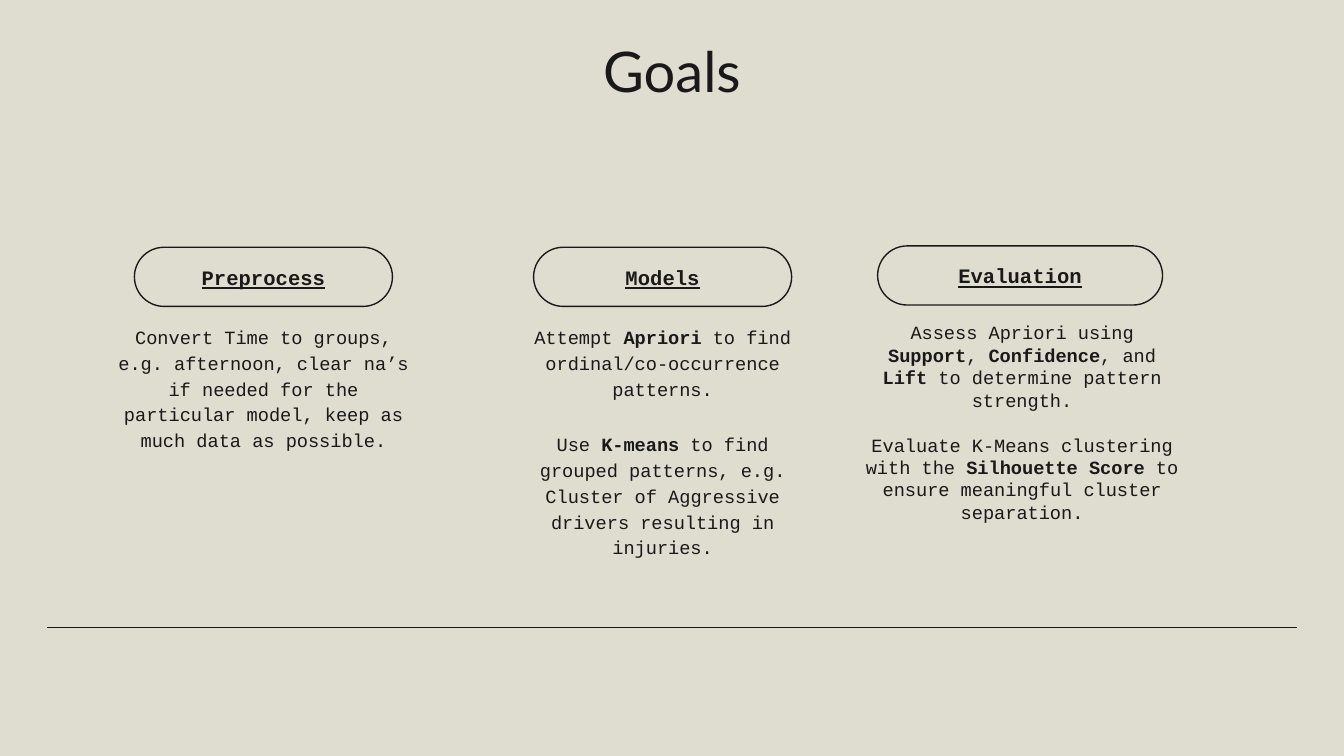
from pptx import Presentation
from pptx.dml.color import RGBColor
from pptx.enum import shapes, text
from pptx.oxml.ns import qn
from pptx.util import Inches, Pt
from lxml import etree

HUES = {"ground": "DFDCD0", "ink": "191919"}
INK = RGBColor.from_string(HUES["ink"])
FRAME = {
    "word_wrap": True,
    "auto_size": text.MSO_AUTO_SIZE.NONE,
    "margin_left": Inches(0.1),
    "margin_right": Inches(0.1),
    "margin_top": Inches(0.1),
    "margin_bottom": Inches(0.1),
}
BODY = {"name": "Courier New", "size": Pt(10)}
HEAD = {"name": "Courier New", "size": Pt(11), "bold": True, "underline": True}
TITLE = {"name": "Lato", "size": Pt(30)}


def fill_text(shape, paras, font, anchor=text.MSO_ANCHOR.TOP):
    """Write centred paragraphs; words between asterisks become bold."""
    frame = shape.text_frame
    for key, value in FRAME.items():
        setattr(frame, key, value)
    frame.vertical_anchor = anchor
    for i, words in enumerate(paras):
        para = frame.paragraphs[0] if i == 0 else frame.add_paragraph()
        para.alignment = text.PP_ALIGN.CENTER
        for j, part in enumerate(words.split("*")):
            run = para.add_run()
            run.text = part
            for key, value in font.items():
                setattr(run.font, key, value)
            run.font.color.rgb = INK
            if j % 2:
                run.font.bold = True
    return frame.paragraphs


prs = Presentation()
prs.slide_width = Inches(10)
prs.slide_height = Inches(10 * 9 / 16)
slide = prs.slides.add_slide(prs.slide_layouts[5])
slide.background.fill.solid()
slide.background.fill.fore_color.rgb = RGBColor.from_string(HUES["ground"])

title = slide.shapes.title
title.left, title.top = Inches(0.25), Inches(0.17)
title.width, title.height = Inches(9.5), Inches(0.63)
fill_text(title, ["Goals"], TITLE)

# Heading, pill (left, top, width), text box, line spacing, gap, indent, paragraphs
goals = [
    ("Preprocess", (1, 1.84, 1.92), (0.77, 2.3, 2.38, 0.9), 1.15, 16, 0, [
        "Convert Time to groups, e.g. afternoon, clear na’s if needed for the "
        "particular model, keep as much data as possible.",
    ]),
    ("Models", (3.97, 1.84, 1.92), (3.74, 2.3, 2.38, 1.48), 1.15, 16, 0, [
        "Attempt *Apriori* to find ordinal/co-occurrence patterns.",
        "Use *K-means* to find grouped patterns, e.g. Cluster of Aggressive "
        "drivers resulting in injuries.",
    ]),
    ("Evaluation", (6.53, 1.83, 2.12), (5.82, 2.29, 3.07, 2.32), 1.0, 12, 0.5, [
        "Assess Apriori using *Support*, *Confidence*, and *Lift* to determine "
        "pattern strength.",
        "Evaluate K-Means clustering with the *Silhouette Score* to ensure "
        "meaningful cluster separation.",
    ]),
]
for head, spot, area, pitch, gap, indent, paras in goals:
    pill = slide.shapes.add_shape(
        shapes.MSO_SHAPE.ROUNDED_RECTANGLE, *map(Inches, spot), Inches(0.44))
    pill.adjustments[0] = 0.5
    pill.shadow.inherit = False
    pill.fill.background()
    pill.line.color.rgb = INK
    pill.line.width = Pt(0.75)
    fill_text(pill, [head], HEAD, text.MSO_ANCHOR.MIDDLE)

    box = slide.shapes.add_textbox(*map(Inches, area))
    lines = fill_text(box, paras, BODY)
    for para in lines:
        para.line_spacing = pitch
        if indent:
            props = para._p.get_or_add_pPr()
            props.set("marL", str(Inches(indent)))
            props.set("indent", "0")
    for para in lines[1:]:
        para.space_before = Pt(gap)
    lines[-1].space_after = Pt(gap)

rule = slide.shapes.add_connector(
    shapes.MSO_CONNECTOR.STRAIGHT,
    Inches(0.35), Inches(4.67), Inches(9.65), Inches(4.67))
rule.line.color.rgb = INK
rule.line.width = Pt(0.75)
etree.SubElement(rule._element.spPr, qn("a:effectLst"))

prs.save("out.pptx")
